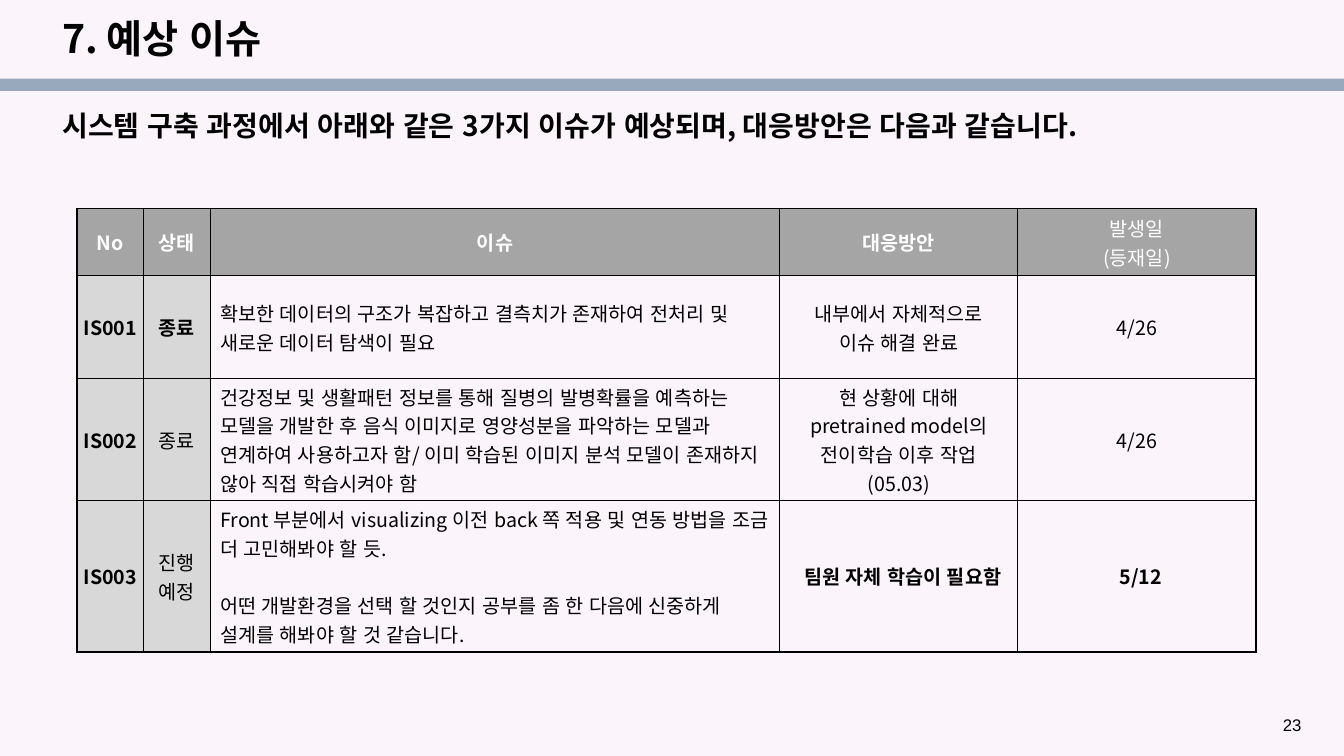
from lxml import etree
from pptx import Presentation
from pptx.dml.color import RGBColor
from pptx.enum.lang import MSO_LANGUAGE_ID
from pptx.enum.shapes import MSO_SHAPE
from pptx.enum.text import MSO_ANCHOR, PP_ALIGN
from pptx.oxml.ns import qn
from pptx.util import Cm, Pt

RECTANGLE = MSO_SHAPE.RECTANGLE
TOP, MIDDLE = MSO_ANCHOR.TOP, MSO_ANCHOR.MIDDLE
LEFT, CENTER = PP_ALIGN.LEFT, PP_ALIGN.CENTER
KOREAN_LANGUAGE = MSO_LANGUAGE_ID.KOREAN

COLORS = {
    "background": "FBF4FB", "band": "98A8BD", "header": "A5A5A5",
    "label": "D8D8D8", "text": "000000", "header_text": "FFFFFF",
}
KOREAN, LATIN = "Noto Sans CJK KR", "Arial"

COLUMN_WIDTHS = [1.68, 1.68, 14.35, 6, 6]
ROW_HEIGHTS = [1.69, 2.59, 3.08, 3.81]
ISSUE_ROWS = [
    ["No", "상태", "이슈", "대응방안", "발생일\n(등재일)"],
    ["IS001", "종료",
     "확보한 데이터의 구조가 복잡하고 결측치가 존재하여 전처리 및 새로운 데이터 탐색이 필요",
     "내부에서 자체적으로\n이슈 해결 완료", "4/26"],
    ["IS002", "종료",
     "건강정보 및 생활패턴 정보를 통해 질병의 발병확률을 예측하는 모델을 개발한 후 "
     "음식 이미지로 영양성분을 파악하는 모델과 연계하여 사용하고자 함/ "
     "이미 학습된 이미지 분석 모델이 존재하지 않아 직접 학습시켜야 함",
     "현 상황에 대해\npretrained model의\n전이학습 이후 작업 (05.03)", "4/26"],
    ["IS003", "진행\n예정",
     "Front 부분에서 visualizing 이전 back 쪽 적용 및 연동 방법을 조금 더 고민해봐야 할 듯.\n"
     "어떤 개발환경을 선택 할 것인지 공부를 좀 한 다음에 신중하게 설계를 해봐야 할 것 같습니다.",
     "팀원 자체 학습이 필요함", "5/12"],
]
# Columns set in bold, row by row
BOLD_COLUMNS = [{0, 1, 2, 3}, {0, 1}, {0}, {0, 3, 4}]
ISSUE_COLUMN = 2


class SlideBuilder:
    def __init__(self, deck):
        self.slide = deck.slides.add_slide(deck.slide_layouts[6])
        self.paint(self.slide.background.fill, "background")

    def paint(self, fill, color):
        fill.solid()
        fill.fore_color.rgb = RGBColor.from_string(COLORS[color])

    def format_text(self, frame, size, bold=False, color="text", font=KOREAN, align=LEFT):
        for para in frame.paragraphs:
            para.alignment = align
            for span in para.runs:
                span.font.size = Pt(size)
                span.font.bold = bold
                span.font.name = font
                span.font.language_id = KOREAN_LANGUAGE
                span.font.color.rgb = RGBColor.from_string(COLORS[color])
                east_asian = etree.Element(qn("a:ea"), typeface=font)
                span.font._element.find(qn("a:latin")).addnext(east_asian)

    def band(self, left, top, width, height):
        box = self.slide.shapes.add_shape(RECTANGLE, Cm(left), Cm(top), Cm(width), Cm(height))
        box.shadow.inherit = False
        self.paint(box.fill, "band")
        box.line.fill.background()

    def text(self, words, left, top, width, height, size, anchor=TOP, spacing=1.0, **style):
        box = self.slide.shapes.add_textbox(Cm(left), Cm(top), Cm(width), Cm(height))
        frame = box.text_frame
        frame.word_wrap = True
        frame.vertical_anchor = anchor
        frame.text = words
        frame.paragraphs[0].line_spacing = spacing
        self.format_text(frame, size, **style)

    def cell_borders(self, cell):
        properties = cell._tc.get_or_add_tcPr()
        for position, side in enumerate(("lnL", "lnR", "lnT", "lnB")):
            line = etree.Element(qn(f"a:{side}"), w=str(Pt(1)))
            fill = etree.SubElement(line, qn("a:solidFill"))
            etree.SubElement(fill, qn("a:srgbClr"), val=COLORS["text"])
            properties.insert(position, line)

    def cell(self, cell, words, fill, side_margin, end_margin, **style):
        cell.text_frame.text = words
        cell.vertical_anchor = MIDDLE
        cell.margin_left = cell.margin_right = Cm(side_margin)
        cell.margin_top = cell.margin_bottom = Cm(end_margin)
        if fill:
            self.paint(cell.fill, fill)
        else:
            cell.fill.background()
        self.cell_borders(cell)
        self.format_text(cell.text_frame, 14, **style)

    def issue_table(self, left, top):
        frame = self.slide.shapes.add_table(
            len(ROW_HEIGHTS), len(COLUMN_WIDTHS), Cm(left), Cm(top),
            Cm(sum(COLUMN_WIDTHS)), Cm(sum(ROW_HEIGHTS)))
        table = frame.table
        table.first_row = table.horz_banding = False
        for column, width in zip(table.columns, COLUMN_WIDTHS):
            column.width = Cm(width)
        for row, height in zip(table.rows, ROW_HEIGHTS):
            row.height = Cm(height)

        for row, entries in enumerate(ISSUE_ROWS):
            for column, words in enumerate(entries):
                style = {"bold": column in BOLD_COLUMNS[row], "align": CENTER}
                if row == 0:
                    look = ("header", 0.25, 0.13)
                    style["color"] = "header_text"
                elif column < ISSUE_COLUMN:
                    look = ("label", 0.13, 0.13)
                else:
                    look = (None, 0.25, 0.1)
                    if column == ISSUE_COLUMN:
                        style["align"] = LEFT
                self.cell(table.cell(row, column), words, *look, **style)

        # Last row: gap between the two remarks, indented answers
        last = len(ISSUE_ROWS) - 1
        table.cell(last, ISSUE_COLUMN).text_frame.paragraphs[1].space_before = Pt(20.5)
        for column in (3, 4):
            para = table.cell(last, column).text_frame.paragraphs[0]
            properties = para._p.get_or_add_pPr()
            properties.set("marL", str(Cm(0.25)))
            properties.set("indent", str(Cm(-0.05)))


def main():
    deck = Presentation()
    deck.slide_width, deck.slide_height = Cm(33.87), Cm(19.05)
    page = SlideBuilder(deck)

    # Band and page number
    page.band(0, 1.98, 33.87, 0.31)
    page.text("23", 32.08, 17.93, 1.32, 0.69, 12, anchor=MIDDLE, font=LATIN)

    # Title and lead sentence
    page.text("7. 예상 이슈", 1.32, 0.36, 29.21, 1.35, 28, anchor=MIDDLE,
              spacing=0.9, bold=True)
    page.text("시스템 구축 과정에서 아래와 같은 3가지 이슈가 예상되며, 대응방안은 다음과 같습니다.",
              1.32, 2.71, 30.5, 1.8, 20, spacing=0.9, bold=True)

    # Issue list
    page.issue_table(1.94, 5.26)

    deck.save("out.pptx")


if __name__ == "__main__":
    main()
